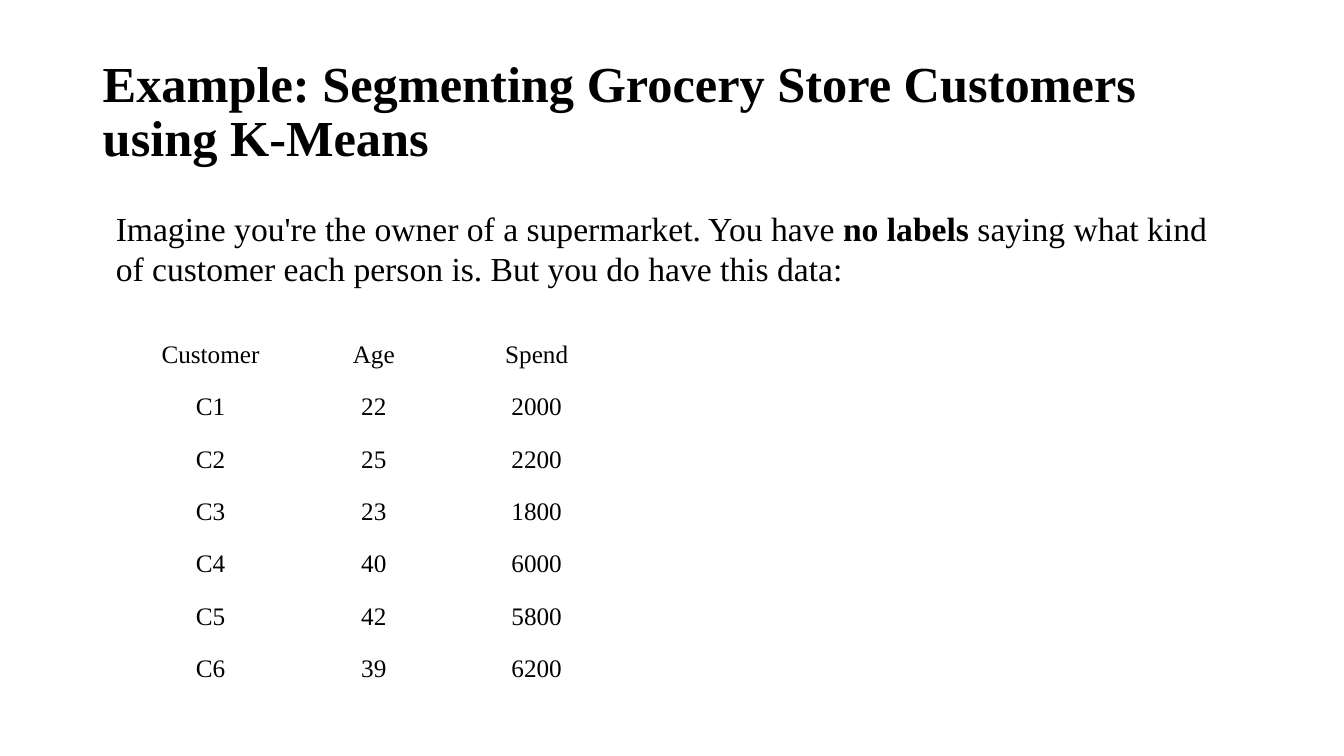
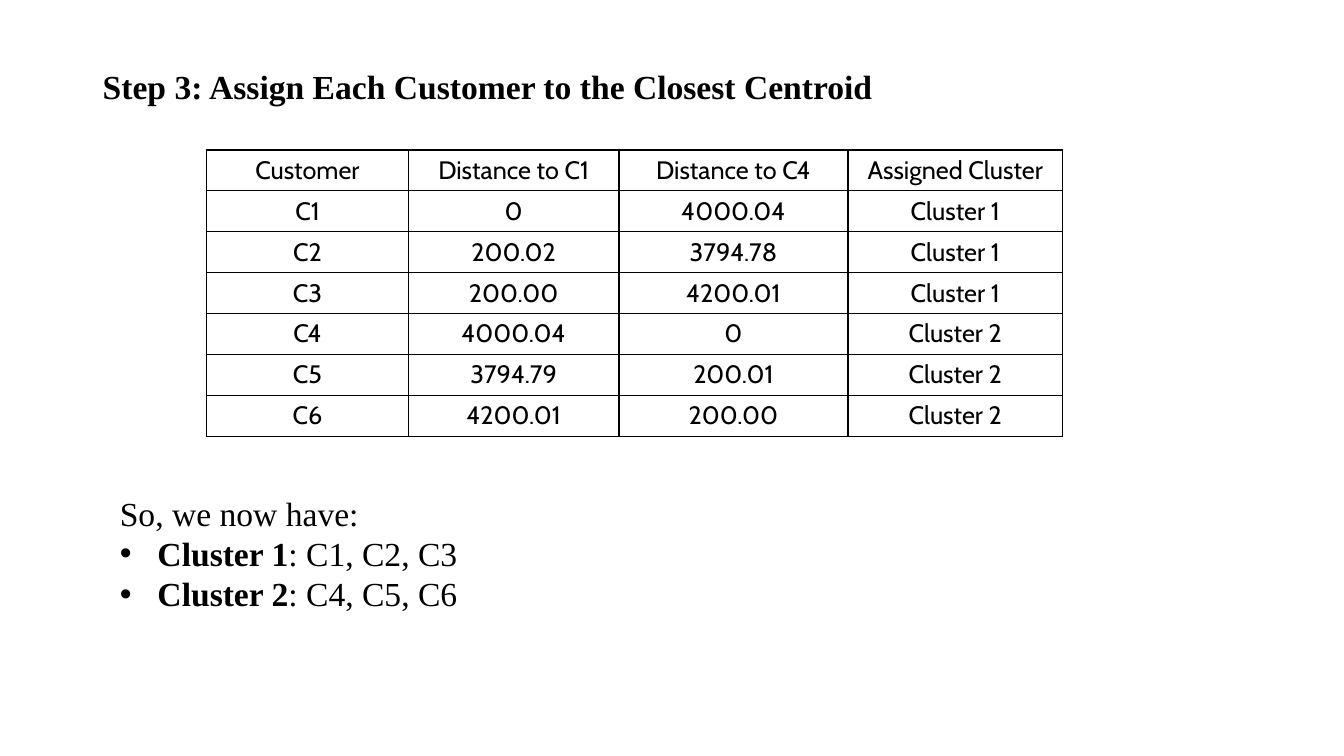
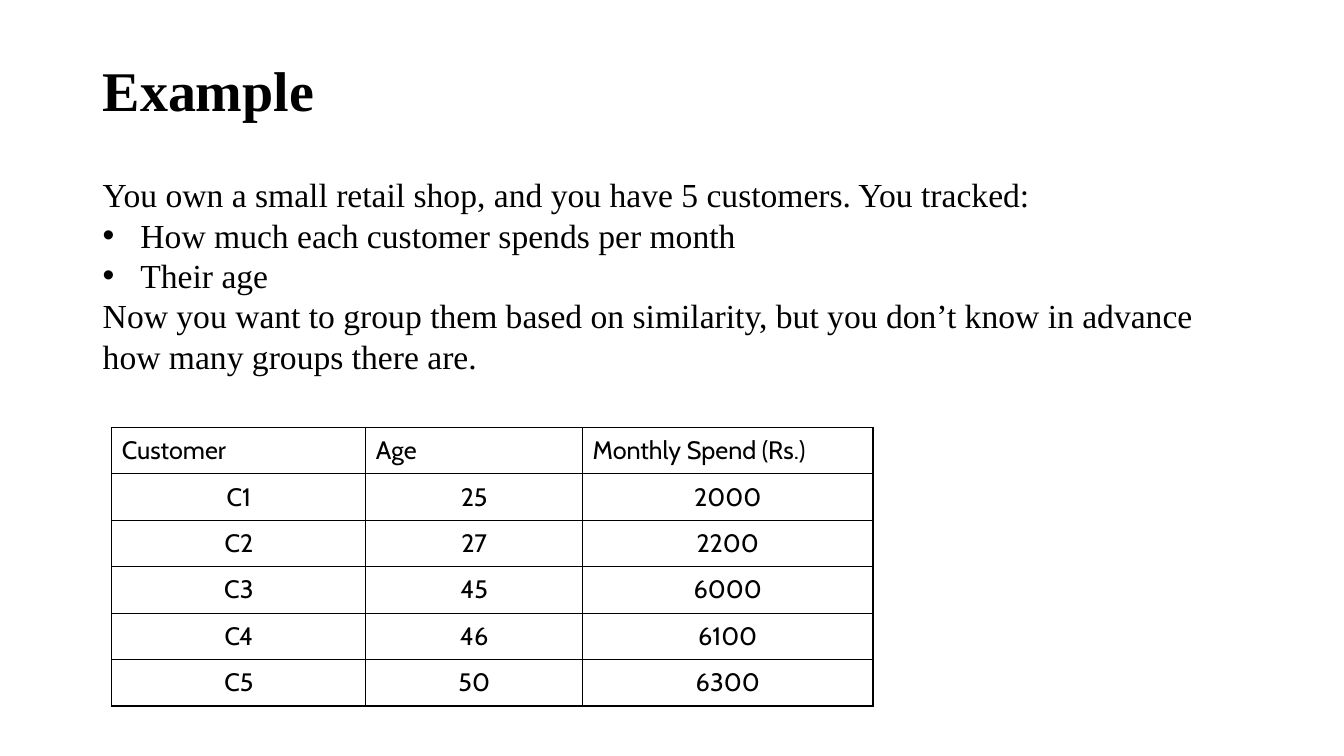
from lxml import etree
from pptx import Presentation
from pptx.dml.color import RGBColor
from pptx.enum.text import MSO_ANCHOR, MSO_AUTO_SIZE, PP_ALIGN
from pptx.oxml.ns import qn
from pptx.util import Cm, Pt

BLACK = RGBColor(0x00, 0x00, 0x00)
SERIF = "Times New Roman"
SANS = "Cabin"
BODY_SIZE = 24
CELL_SIZE = 18
MARGIN_LEFT = 2.34
TITLE_WIDTH = 29.21
BULLET = "• "
BULLET_INDENT = Cm(0.95)
LEFT = PP_ALIGN.LEFT
CENTER = PP_ALIGN.CENTER
TOP = MSO_ANCHOR.TOP
MIDDLE = MSO_ANCHOR.MIDDLE
GROW = MSO_AUTO_SIZE.SHAPE_TO_FIT_TEXT

CUSTOMER_ROWS = [
    ("Customer", "Age", "Spend"),
    ("C1", "22", "2000"),
    ("C2", "25", "2200"),
    ("C3", "23", "1800"),
    ("C4", "40", "6000"),
    ("C5", "42", "5800"),
    ("C6", "39", "6200"),
]
DISTANCE_ROWS = [
    ("Customer", "Distance to C1", "Distance to C4", "Assigned Cluster"),
    ("C1", "0", "4000.04", "Cluster 1"),
    ("C2", "200.02", "3794.78", "Cluster 1"),
    ("C3", "200.00", "4200.01", "Cluster 1"),
    ("C4", "4000.04", "0", "Cluster 2"),
    ("C5", "3794.79", "200.01", "Cluster 2"),
    ("C6", "4200.01", "200.00", "Cluster 2"),
]
SHOP_ROWS = [
    ("Customer", "Age", "Monthly Spend (Rs.)"),
    ("C1", "25", "2000"),
    ("C2", "27", "2200"),
    ("C3", "45", "6000"),
    ("C4", "46", "6100"),
    ("C5", "50", "6300"),
]


def style_run(run, size, font=SERIF, bold=False):
    """Give a run its typeface, size, weight and colour."""
    run.font.name = font
    run.font.size = Pt(size)
    run.font.bold = bold
    run.font.color.rgb = BLACK


def add_bullet(paragraph):
    """Give a paragraph a hanging bullet."""
    properties = paragraph._p.get_or_add_pPr()
    properties.set("marL", str(BULLET_INDENT))
    properties.set("indent", str(-BULLET_INDENT))
    etree.SubElement(properties, qn("a:buFont"), typeface="Arial")
    etree.SubElement(properties, qn("a:buChar"), char=BULLET.strip())


def add_text_frame(slide, box, anchor):
    """Add a wrapping text box and return its text frame."""
    frame = slide.shapes.add_textbox(*map(Cm, box)).text_frame
    frame.word_wrap = True
    frame.vertical_anchor = anchor
    return frame


def add_title(slide, top, height, text, size, anchor=MIDDLE):
    """Place a bold heading at the shared left margin."""
    frame = add_text_frame(slide, (MARGIN_LEFT, top, TITLE_WIDTH, height), anchor)
    frame.text = text
    heading = frame.paragraphs[0]
    heading.line_spacing = 0.9
    style_run(heading.runs[0], size, bold=True)


def add_body(slide, box, lines):
    """Write body lines, with ** around bold words and a leading bullet mark."""
    frame = add_text_frame(slide, box, TOP)
    frame.auto_size = GROW
    for index, line in enumerate(lines):
        paragraph = frame.paragraphs[0] if index == 0 else frame.add_paragraph()
        if line.startswith(BULLET):
            add_bullet(paragraph)
        for part, words in enumerate(line.removeprefix(BULLET).split("**")):
            if words:
                run = paragraph.add_run()
                run.text = words
                style_run(run, BODY_SIZE, bold=part % 2 == 1)


def add_borders(cell):
    """Draw a thin black line on all four sides of a cell."""
    properties = cell._tc.get_or_add_tcPr()
    for position, side in enumerate(("lnL", "lnR", "lnT", "lnB")):
        line = etree.Element(qn(f"a:{side}"), w=str(Pt(1)))
        fill = etree.SubElement(line, qn("a:solidFill"))
        etree.SubElement(fill, qn("a:srgbClr"), val=str(BLACK))
        properties.insert(position, line)


def add_data_table(slide, left, top, widths, row_height, rows,
                   font=SANS, bordered=True, header_align=CENTER):
    """Place an unfilled table with centred values."""
    table = slide.shapes.add_table(
        len(rows), len(widths), Cm(left), Cm(top),
        Cm(sum(widths)), Cm(row_height * len(rows))).table
    table.first_row = False
    table.horz_banding = False
    for column, width in zip(table.columns, widths):
        column.width = Cm(width)
    for row_index, values in enumerate(rows):
        table.rows[row_index].height = Cm(row_height)
        for column_index, value in enumerate(values):
            cell = table.cell(row_index, column_index)
            cell.fill.background()
            cell.vertical_anchor = MIDDLE
            cell.text = value
            paragraph = cell.text_frame.paragraphs[0]
            paragraph.alignment = CENTER if row_index else header_align
            style_run(paragraph.runs[0], CELL_SIZE, font)
            if bordered:
                add_borders(cell)


def build_segmenting(slide):
    """Introduce the supermarket customers and their data."""
    add_title(slide, 1.02, 3.68,
              "Example: Segmenting Grocery Store Customers using K-Means", 36)
    add_data_table(slide, 3.02, 8.28, (4.57, 3.66, 4.55), 1.32, CUSTOMER_ROWS,
                   font=SERIF, bordered=False)
    add_body(slide, (2.67, 5.11, 28.35, 2.31), [
        "Imagine you're the owner of a supermarket. You have **no labels** "
        "saying what kind of customer each person is. "
        "But you do have this data:"])


def build_assignment(slide):
    """Show the distances to the centroids and the resulting clusters."""
    add_title(slide, 1.65, 16.66,
              "Step 3: Assign Each Customer to the Closest Centroid",
              BODY_SIZE, TOP)
    add_data_table(slide, 5.21, 3.78, (5.08, 5.31, 5.77, 5.41), 1.03,
                   DISTANCE_ROWS)
    add_body(slide, (2.77, 12.29, 16.92, 3.33), [
        "So, we now have:",
        "• **Cluster 1**: C1, C2, C3",
        "• **Cluster 2**: C4, C5, C6"])


def build_retail_shop(slide):
    """Introduce the retail shop and its five customers."""
    add_title(slide, 1.02, 2.67, "Example", 40)
    add_data_table(slide, 2.82, 10.77, (6.4, 5.46, 7.32), 1.17, SHOP_ROWS,
                   header_align=LEFT)
    add_body(slide, (MARGIN_LEFT, 4.27, 28.32, 5.38), [
        "You own a small retail shop, and you have 5 customers. You tracked:",
        "• How much each customer spends per month",
        "• Their age",
        "Now you want to group them based on similarity, but you don’t know "
        "in advance how many groups there are."])


def main():
    """Build the three slides and save the deck."""
    deck = Presentation()
    deck.slide_width = Cm(33.87)
    deck.slide_height = Cm(19.05)
    blank = deck.slide_layouts[6]
    for build in (build_segmenting, build_assignment, build_retail_shop):
        build(deck.slides.add_slide(blank))
    deck.save("out.pptx")


if __name__ == "__main__":
    main()
